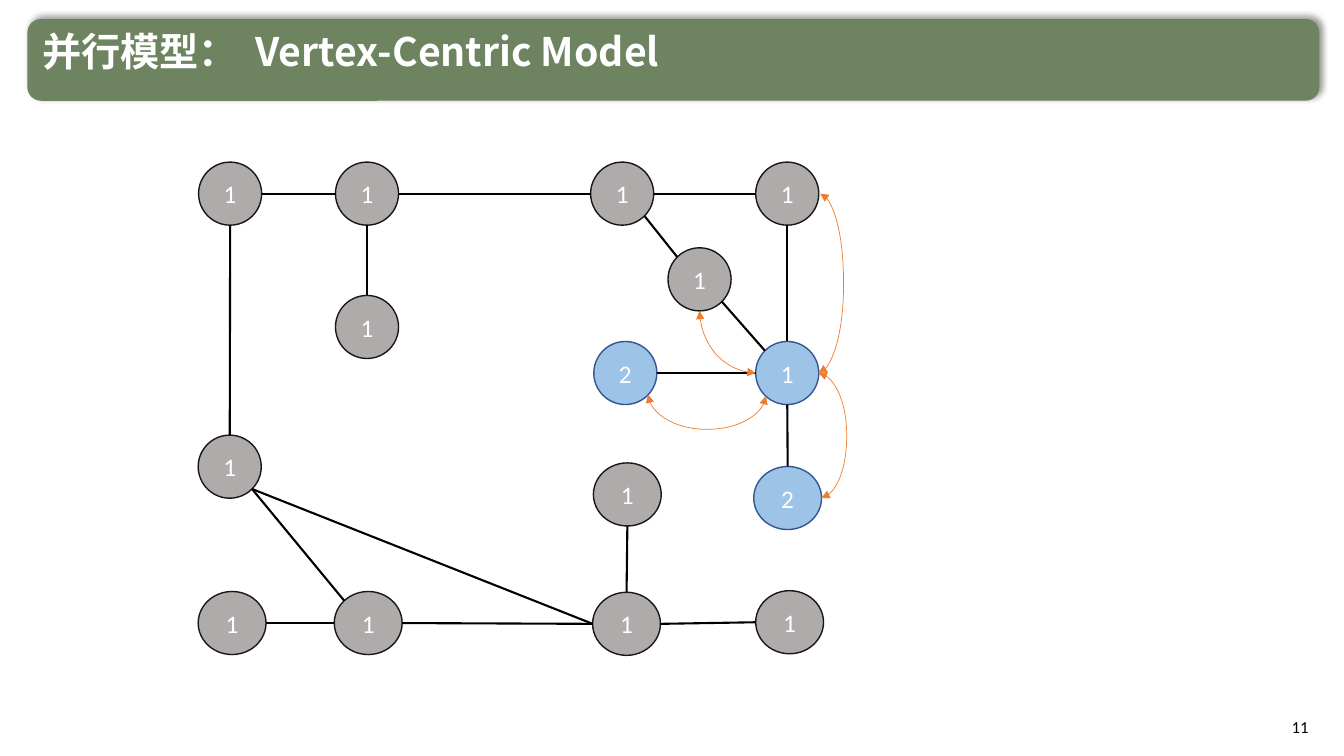
from dataclasses import dataclass
from math import cos, radians, sin

from lxml.etree import SubElement
from pptx import Presentation
from pptx.dml.color import RGBColor
from pptx.enum.shapes import MSO_CONNECTOR as Link, MSO_SHAPE as Shape
from pptx.enum.text import MSO_ANCHOR as Anchor, PP_ALIGN as Align
from pptx.oxml.ns import qn
from pptx.util import Cm, Pt


@dataclass(frozen=True)
class Theme:
    banner: str = "6E8360"
    idle: tuple = ("AFABAB", "181717")
    active: tuple = ("9DC3E6", "325491")
    edge: str = "000000"
    message: str = "ED7D31"
    light: str = "FFFFFF"
    dark: str = "000000"
    title_font: str = "Noto Sans CJK SC"
    body_font: str = "Calibri"
    title_size: int = 28
    vertex_size: int = 18
    number_size: int = 12


THEME = Theme()
HEIGHT, ROUND, WIDE = 1.59, 1.59, 1.71

# Vertices: centre x, centre y, width (cm), label, colours
VERTICES = {
    "northwest": (5.80, 4.88, ROUND, "1", THEME.idle),
    "north": (9.25, 4.88, ROUND, "1", THEME.idle),
    "branch": (9.25, 8.24, ROUND, "1", THEME.idle),
    "top": (15.68, 4.88, ROUND, "1", THEME.idle),
    "northeast": (19.84, 4.88, ROUND, "1", THEME.idle),
    "diagonal": (17.63, 7.04, ROUND, "1", THEME.idle),
    "hub": (19.84, 9.40, ROUND, "1", THEME.active),
    "hub_west": (15.76, 9.40, ROUND, "2", THEME.active),
    "west": (5.79, 11.76, ROUND, "1", THEME.idle),
    "southwest": (5.85, 15.70, WIDE, "1", THEME.idle),
    "south": (9.28, 15.70, WIDE, "1", THEME.idle),
    "southeast": (19.90, 15.68, WIDE, "1", THEME.idle),
    "bottom": (15.79, 15.72, WIDE, "1", THEME.idle),
    "inner": (15.81, 12.46, WIDE, "1", THEME.idle),
    "hub_south": (19.85, 12.55, WIDE, "2", THEME.active),
}

# Edges: vertex and the side where the line meets it, for both ends
SIDES = ("E", "SE", "S", "SW", "W", "NW", "N", "NE")
EDGES = (
    ("northwest", "E", "north", "W"),
    ("north", "S", "branch", "N"),
    ("northwest", "S", "west", "N"),
    ("west", "SE", "south", "NW"),
    ("west", "SE", "bottom", "W"),
    ("south", "E", "bottom", "W"),
    ("southwest", "E", "south", "W"),
    ("bottom", "N", "inner", "S"),
    ("southeast", "W", "bottom", "E"),
    ("hub", "W", "hub_west", "E"),
    ("hub", "S", "hub_south", "N"),
    ("top", "W", "north", "E"),
    ("northeast", "W", "top", "E"),
    ("northeast", "S", "hub", "N"),
    ("top", "SE", "diagonal", "NW"),
    ("diagonal", "SE", "hub", "NW"),
)


def rgb(code):
    return RGBColor.from_string(code)


def write(frame, text, *, size, color, font=THEME.body_font, bold=False,
          align=Align.LEFT, anchor=Anchor.MIDDLE, leading=None, spacing=0):
    """Append text to the first paragraph of a frame."""
    frame.word_wrap = True
    frame.vertical_anchor = anchor
    line = frame.paragraphs[0]
    line.alignment = align
    line.line_spacing = leading
    run = line.add_run()
    run.text = text
    run.font.size, run.font.bold = Pt(size), bold
    run.font.name = font
    run.font.color.rgb = rgb(color)
    props = run.font._element
    SubElement(props, qn("a:ea"), typeface=font)
    if spacing:
        props.set("spc", str(spacing))


def add_banner(slide):
    banner = slide.shapes.add_shape(Shape.ROUNDED_RECTANGLE, Cm(0.69), Cm(0.48), Cm(32.56), Cm(2.06))
    banner.fill.solid()
    banner.fill.fore_color.rgb = rgb(THEME.banner)
    banner.line.fill.background()
    effects = SubElement(banner._element.spPr, qn("a:effectLst"))
    shadow = SubElement(effects, qn("a:outerShdw"), blurRad=str(Pt(4)), dist=str(Pt(3)),
                        dir="18900000", algn="bl", rotWithShape="0")
    black = SubElement(shadow, qn("a:srgbClr"), val=THEME.dark)
    SubElement(black, qn("a:alpha"), val="40000")


def add_title(slide):
    frame = slide.shapes.add_textbox(Cm(0.81), Cm(0.71), Cm(28.12), Cm(1.57)).text_frame
    for text, spacing in (("并行模型：", 0), (" ", 640), ("Vertex-Centric Model", 0)):
        write(frame, text, size=THEME.title_size, color=THEME.light, font=THEME.title_font,
              bold=True, anchor=Anchor.TOP, leading=0.9, spacing=spacing)


def add_vertex(slide, x, y, width, label, colors):
    vertex = slide.shapes.add_shape(Shape.OVAL, Cm(x - width / 2), Cm(y - HEIGHT / 2),
                                    Cm(width), Cm(HEIGHT))
    vertex.shadow.inherit = False
    fill, outline = colors
    vertex.fill.solid()
    vertex.fill.fore_color.rgb = rgb(fill)
    vertex.line.color.rgb = rgb(outline)
    vertex.line.width = Pt(1)
    write(vertex.text_frame, label, size=THEME.vertex_size, color=THEME.light, align=Align.CENTER)


def rim_point(name, side):
    x, y, width = VERTICES[name][:3]
    angle = radians(45 * SIDES.index(side))
    return x + width / 2 * cos(angle), y + HEIGHT / 2 * sin(angle)


def add_link(slide, kind, start, end, color, weight):
    link = slide.shapes.add_connector(kind, *(Cm(value) for value in (*start, *end)))
    link.line.color.rgb = rgb(color)
    link.line.width = Pt(weight)
    SubElement(link._element.spPr, qn("a:effectLst"))
    return link


def add_message(slide, start, end, preset="curvedConnector3", bulge=None, turn=0):
    """Draw a two-headed curve; bulge is its reach from the start, as a share of its width."""
    message = add_link(slide, Link.CURVE, start, end, THEME.message, 0.5)
    geometry = message._element.spPr.find(qn("a:prstGeom"))
    geometry.set("prst", preset)
    if bulge is not None:
        guides = geometry.find(qn("a:avLst"))
        SubElement(guides, qn("a:gd"), name="adj1", fmla=f"val {round(bulge * 100000)}")
    if turn:
        message._element.spPr.find(qn("a:xfrm")).set("rot", str(turn * 60000))
    outline = message.line._get_or_add_ln()
    for tip in ("a:headEnd", "a:tailEnd"):
        SubElement(outline, qn(tip), type="triangle")


def add_side_message(slide, start, end, reach):
    """Curve that swings out sideways to x = reach."""
    add_message(slide, start, end, bulge=(reach - start[0]) / (end[0] - start[0]))


def add_hanging_message(slide, start, end, reach):
    """Curve that hangs down to y = reach: a side curve turned by three quarters."""
    (x1, y1), (x2, y2) = start, end
    mid_x, mid_y = (x1 + x2) / 2, (y1 + y2) / 2
    half_drop, half_span = (y2 - y1) / 2, (x2 - x1) / 2
    add_message(slide, (mid_x + half_drop, mid_y - half_span),
                (mid_x - half_drop, mid_y + half_span),
                bulge=(reach - y1) / (y2 - y1), turn=270)


def main():
    deck = Presentation()
    deck.slide_width, deck.slide_height = Cm(33.87), Cm(19.05)
    slide = deck.slides.add_slide(deck.slide_layouts[6])

    # Heading and page number
    add_banner(slide)
    number = slide.shapes.add_textbox(Cm(31.22), Cm(17.81), Cm(2.01), Cm(1.02))
    write(number.text_frame, "11", size=THEME.number_size, color=THEME.dark, align=Align.RIGHT)
    add_title(slide)

    # Graph
    for vertex in VERTICES.values():
        add_vertex(slide, *vertex)
    for first, first_side, second, second_side in EDGES:
        add_link(slide, Link.STRAIGHT, rim_point(first, first_side),
                 rim_point(second, second_side), THEME.edge, 1.5)

    # Messages between the hub and its neighbours
    add_side_message(slide, (20.63, 9.40), (20.67, 4.88), reach=21.26)
    add_message(slide, rim_point("hub", "W"), rim_point("diagonal", "S"), "curvedConnector2")
    add_hanging_message(slide, (16.33, 9.94), (19.30, 9.98), reach=10.82)
    add_side_message(slide, (20.70, 12.55), (20.63, 9.40), reach=21.34)

    deck.save("out.pptx")


if __name__ == "__main__":
    main()
